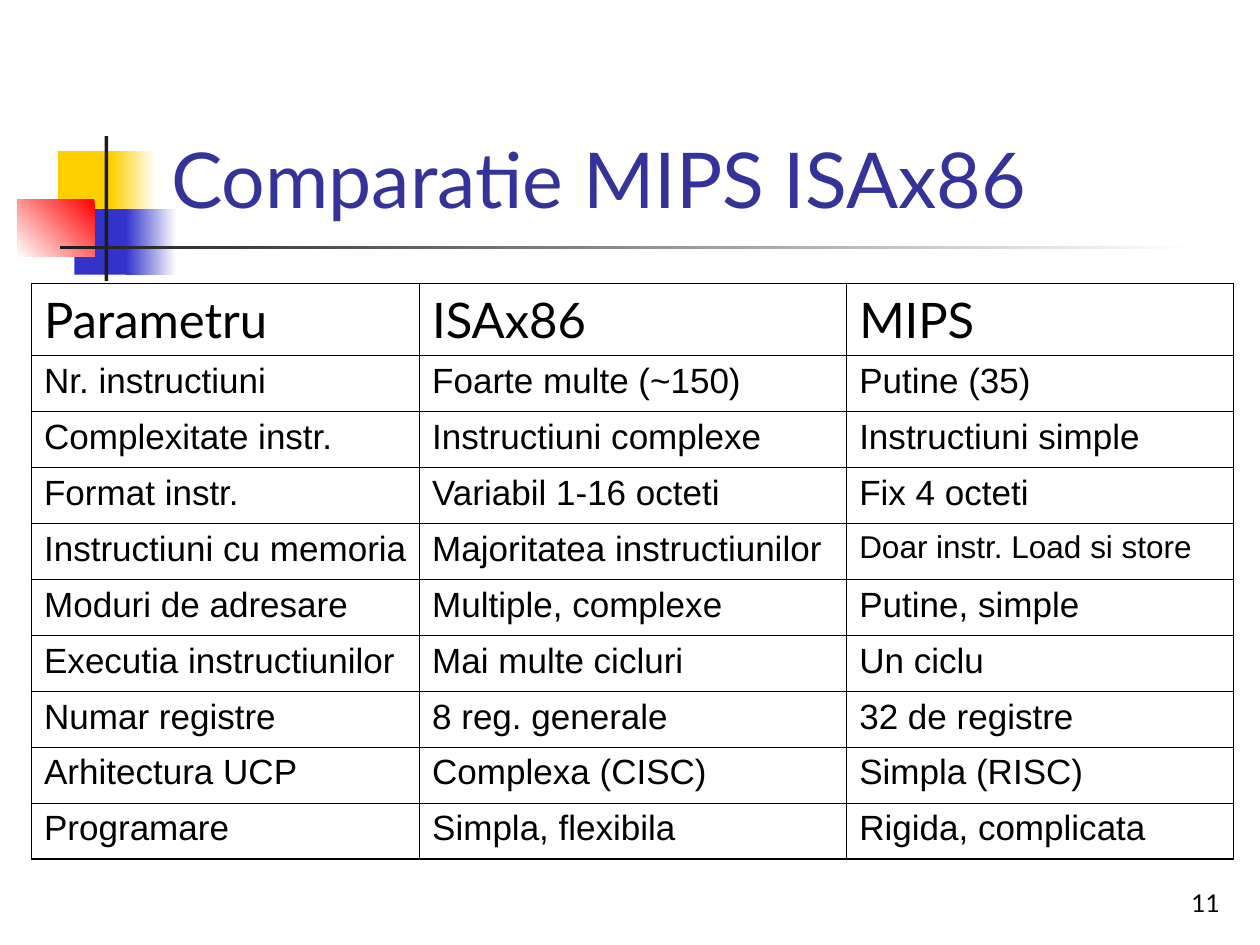
import pptx
import pptx.dml.color
import pptx.enum.shapes
import pptx.enum.text
import pptx.oxml
import pptx.oxml.ns
import pptx.util
from pptx.util import Inches

RGBColor = pptx.dml.color.RGBColor
WHITE = RGBColor(0xFF, 0xFF, 0xFF)
BLACK = RGBColor(0, 0, 0)
CHARCOAL = RGBColor(0x1C, 0x1C, 0x1C)
YELLOW = RGBColor(0xFF, 0xCF, 0x01)
BLUE = RGBColor(0x33, 0x33, 0xCC)
RED = RGBColor(0xFF, 0, 0)
NAVY = RGBColor(0x33, 0x33, 0x99)

OUTER_LINE = 1.08
INNER_LINE = 0.45
HEADER_HEIGHT = 0.57
COLUMN_WIDTHS = (3.08, 3.39, 3.07)
ROWS = (
    ("Parametru", "ISAx86", "MIPS"),
    ("Nr. instructiuni", "Foarte multe (~150)", "Putine (35)"),
    ("Complexitate instr.", "Instructiuni complexe", "Instructiuni simple"),
    ("Format instr.", "Variabil 1-16 octeti", "Fix 4 octeti"),
    ("Instructiuni cu memoria", "Majoritatea instructiunilor", "Doar instr. Load si store"),
    ("Moduri de adresare", "Multiple, complexe", "Putine, simple"),
    ("Executia instructiunilor", "Mai multe cicluri", "Un ciclu"),
    ("Numar registre", "8 reg. generale", "32 de registre"),
    ("Arhitectura UCP", "Complexa (CISC)", "Simpla (RISC)"),
    ("Programare", "Simpla, flexibila", "Rigida, complicata"),
)
HEADER_FORMAT = {"name": "Lato", "size": pptx.util.Pt(28)}
BODY_FORMAT = {"name": "Arial", "size": pptx.util.Pt(20)}
SMALL_FORMAT = {"name": "Arial", "size": pptx.util.Pt(18)}
TITLE_FORMAT = {"name": "Lato", "size": pptx.util.Pt(44)}
NUMBER_FORMAT = {"name": "Lato", "size": pptx.util.Pt(14)}


def write_text(frame, text, font_format, color):
    para = frame.paragraphs[0]
    span = para.add_run()
    span.text = text
    for name, value in font_format.items():
        setattr(span.font, name, value)
    span.font.color.rgb = color
    return para


def add_block(page, box, colors, angle=180):
    block = page.shapes.add_shape(
        pptx.enum.shapes.MSO_SHAPE.RECTANGLE, *map(Inches, box))
    block.shadow.inherit = False
    block.line.fill.background()
    if len(colors) == 1:
        block.fill.solid()
        block.fill.fore_color.rgb = colors[0]
    else:
        block.fill.gradient()
        block.fill.gradient_angle = angle
        for stop, color in zip(block.fill.gradient_stops, colors):
            stop.color.rgb = color


def add_ornament(page, left, top):
    blocks = (
        (0.32, 0.12, 0.48, 0.52, (YELLOW,), 180),
        (0.74, 0.12, 0.36, 0.52, (WHITE, YELLOW), 180),
        (0.45, 0.58, 0.46, 0.52, (BLUE,), 180),
        (0.86, 0.58, 0.4, 0.52, (WHITE, BLUE), 180),
        (0, 0.5, 0.61, 0.46, (RED, WHITE), 225),
        (0.69, 0, 0.03, 1.15, (CHARCOAL,), 180),
        (0.34, 0.87, 9, 0.03, (WHITE, CHARCOAL), 180),
    )
    for x, y, width, height, colors, angle in blocks:
        add_block(page, (left + x, top + y, width, height), colors, angle)


def add_label(page, box, text, font_format, color, alignment):
    label = page.shapes.add_textbox(*map(Inches, box))
    frame = label.text_frame
    frame.word_wrap = True
    frame.vertical_anchor = pptx.enum.text.MSO_ANCHOR.BOTTOM
    write_text(frame, text, font_format, color).alignment = alignment


def set_borders(cell, widths):
    properties = cell._tc.get_or_add_tcPr()
    for side, width in widths.items():
        properties.append(pptx.oxml.parse_xml(
            f'<a:ln{side} {pptx.oxml.ns.nsdecls("a")} w="{pptx.util.Pt(width)}">'
            f'<a:solidFill><a:srgbClr val="{BLACK}"/></a:solidFill></a:ln{side}>'))


def cell_format(row, text):
    if row == 0:
        return HEADER_FORMAT
    return SMALL_FORMAT if text.startswith("Doar") else BODY_FORMAT


def add_comparison(page, box):
    last_row, last_column = len(ROWS) - 1, len(COLUMN_WIDTHS) - 1
    table = page.shapes.add_table(
        len(ROWS), len(COLUMN_WIDTHS), *map(Inches, box)).table
    table.first_row = False
    table.horz_banding = False
    for column, width in zip(table.columns, COLUMN_WIDTHS):
        column.width = Inches(width)
    body_height = (box[3] - HEADER_HEIGHT) / last_row
    for row, texts in enumerate(ROWS):
        table.rows[row].height = Inches(body_height if row else HEADER_HEIGHT)
        for column, text in enumerate(texts):
            cell = table.cell(row, column)
            edges = {"L": column == 0, "R": column == last_column,
                     "T": row == 0, "B": row == last_row}
            set_borders(cell, {side: OUTER_LINE if outer else INNER_LINE
                               for side, outer in edges.items()})
            cell.fill.background()
            write_text(cell.text_frame, text, cell_format(row, text), BLACK)


def main():
    deck = pptx.Presentation()
    deck.slide_width = Inches(10)
    deck.slide_height = Inches(7.5)
    page = deck.slides.add_slide(deck.slide_layouts[6])
    align = pptx.enum.text.PP_ALIGN
    add_ornament(page, 0.14, 1.08)
    add_label(page, (1.26, 0.23, 8.52, 1.6), "Comparatie MIPS ISAx86",
              TITLE_FORMAT, NAVY, align.LEFT)
    add_comparison(page, (0.25, 2.25, sum(COLUMN_WIDTHS), 4.57))
    add_label(page, (7.7, 6.83, 2.08, 0.5), "11", NUMBER_FORMAT, BLACK, align.RIGHT)
    deck.save("out.pptx")


if __name__ == "__main__":
    main()
